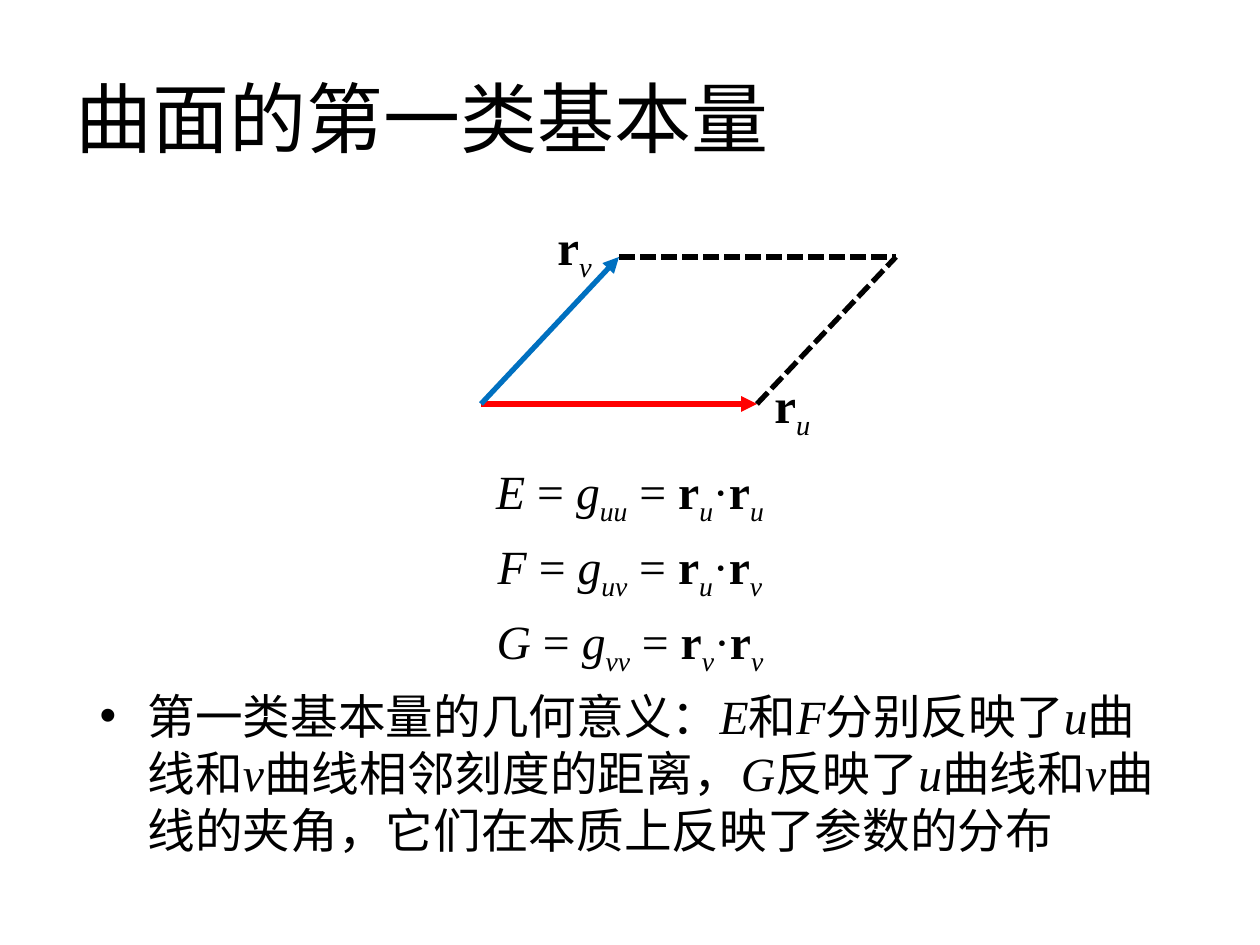
from dataclasses import dataclass

from pptx import Presentation
from pptx import util as u
from pptx.dml.color import RGBColor
from pptx.enum import dml, shapes, text
from pptx.oxml.ns import qn
from lxml import etree

PX = 914400 // 126
CHINESE = "Noto Sans CJK SC"
LATIN = "Times New Roman"


@dataclass(frozen=True)
class Span:
    text: str
    bold: bool = False
    italic: bool = False
    subscript: bool = False


@dataclass(frozen=True)
class Edge:
    start: tuple[int, int]
    end: tuple[int, int]
    color: str
    vector: bool


@dataclass(frozen=True)
class Label:
    variable: str
    left: int
    top: int


def px(length: int) -> int:
    return length * PX


def rgb(color: str) -> RGBColor:
    return RGBColor.from_string(color)


def place(shape, left: int, top: int, width: int, height: int) -> None:
    shape.left, shape.top = px(left), px(top)
    shape.width, shape.height = px(width), px(height)


def symbol(name: str) -> Span:
    return Span(name, italic=True)


def subscript(name: str) -> Span:
    return Span(name, italic=True, subscript=True)


def derivative(variable: str) -> list[Span]:
    return [Span("r", bold=True), subscript(variable)]


def formula(name: str, first: str, second: str) -> list[Span]:
    return [symbol(name), Span(" = "), symbol("g"), subscript(first + second), Span(" = "),
            *derivative(first), Span("·"), *derivative(second)]


def write(paragraph, spans: list[Span], *, size: float, font: str = LATIN,
          color: str = "000000", align=text.PP_ALIGN.LEFT,
          leading: float | None = None, before: float = 0) -> None:
    paragraph.alignment = align
    paragraph.space_before = u.Pt(before)
    if leading:
        paragraph.line_spacing = u.Pt(leading)
    for span in spans:
        run = paragraph.add_run()
        run.text = span.text
        run.font.name = font
        run.font.size = u.Pt(size)
        run.font.bold = span.bold
        run.font.italic = span.italic
        run.font.color.rgb = rgb(color)
        properties = run._r.get_or_add_rPr()
        if span.subscript:
            properties.set("baseline", "-25000")
        etree.SubElement(properties, qn("a:ea"), typeface=CHINESE)


def set_bullet(paragraph, bullet: str | None, indent: int) -> None:
    properties = paragraph._p.get_or_add_pPr()
    properties.set("marL", str(px(indent)))
    properties.set("indent", str(-px(indent)))
    if bullet:
        etree.SubElement(properties, qn("a:buChar"), char=bullet)
    else:
        etree.SubElement(properties, qn("a:buNone"))


def draw_edge(slide, edge: Edge) -> None:
    line = slide.shapes.add_connector(
        shapes.MSO_CONNECTOR.STRAIGHT, *map(px, edge.start + edge.end))
    line.line.color.rgb = rgb(edge.color)
    line.line.width = u.Pt(3)
    if edge.vector:
        etree.SubElement(line.line._get_or_add_ln(), qn("a:tailEnd"), type="triangle")
    else:
        line.line.dash_style = dml.MSO_LINE.SQUARE_DOT
    etree.SubElement(line._element.spPr, qn("a:effectLst"))


def draw_label(slide, label: Label) -> None:
    box = slide.shapes.add_textbox(px(label.left), px(label.top), px(64), px(72))
    frame = box.text_frame
    frame.word_wrap = False
    frame.auto_size = text.MSO_AUTO_SIZE.SHAPE_TO_FIT_TEXT
    write(frame.paragraphs[0], derivative(label.variable), size=28)


def fill_body(body) -> None:
    place(body, 87, 455, 1086, 396)
    frame = body.text_frame
    frame.auto_size = text.MSO_AUTO_SIZE.NONE
    formulas = [("E", "u", "u"), ("F", "u", "v"), ("G", "v", "v")]
    for index, terms in enumerate(formulas):
        paragraph = frame.add_paragraph() if index else frame.paragraphs[0]
        write(paragraph, formula(*terms), size=27.2, align=text.PP_ALIGN.CENTER,
              leading=37.5, before=5.4 if index else 0)
        set_bullet(paragraph, None, 0)
    meaning = ["第一类基本量的几何意义：", "E", "和", "F", "分别反映了", "u", "曲线和", "v",
               "曲线相邻刻度的距离，", "G", "反映了", "u", "曲线和", "v",
               "曲线的夹角，它们在本质上反映了参数的分布"]
    paragraph = frame.add_paragraph()
    write(paragraph, [Span(part, italic=part.isascii()) for part in meaning],
          size=27.2, leading=32.6, before=5.4)
    set_bullet(paragraph, "•", 48)


def main() -> None:
    deck = Presentation()
    deck.slide_width, deck.slide_height = u.Inches(10), u.Inches(7.5)
    slide = deck.slides.add_slide(deck.slide_layouts[1])

    title = slide.shapes.title
    place(title, 63, 38, 1134, 157)
    title.text_frame.vertical_anchor = text.MSO_ANCHOR.MIDDLE
    write(title.text_frame.paragraphs[0], [Span("曲面的第一类基本量")], size=44, font=CHINESE)
    fill_body(slide.placeholders[1])

    origin, u_tip, v_tip, corner = (481, 404), (757, 404), (619, 257), (896, 257)
    for edge in (Edge(origin, u_tip, "FF0000", True),
                 Edge(origin, v_tip, "0070C0", True),
                 Edge(v_tip, corner, "000000", False),
                 Edge(u_tip, corner, "000000", False)):
        draw_edge(slide, edge)
    for label in (Label("u", 762, 368), Label("v", 545, 210)):
        draw_label(slide, label)

    deck.save("out.pptx")


if __name__ == "__main__":
    main()
